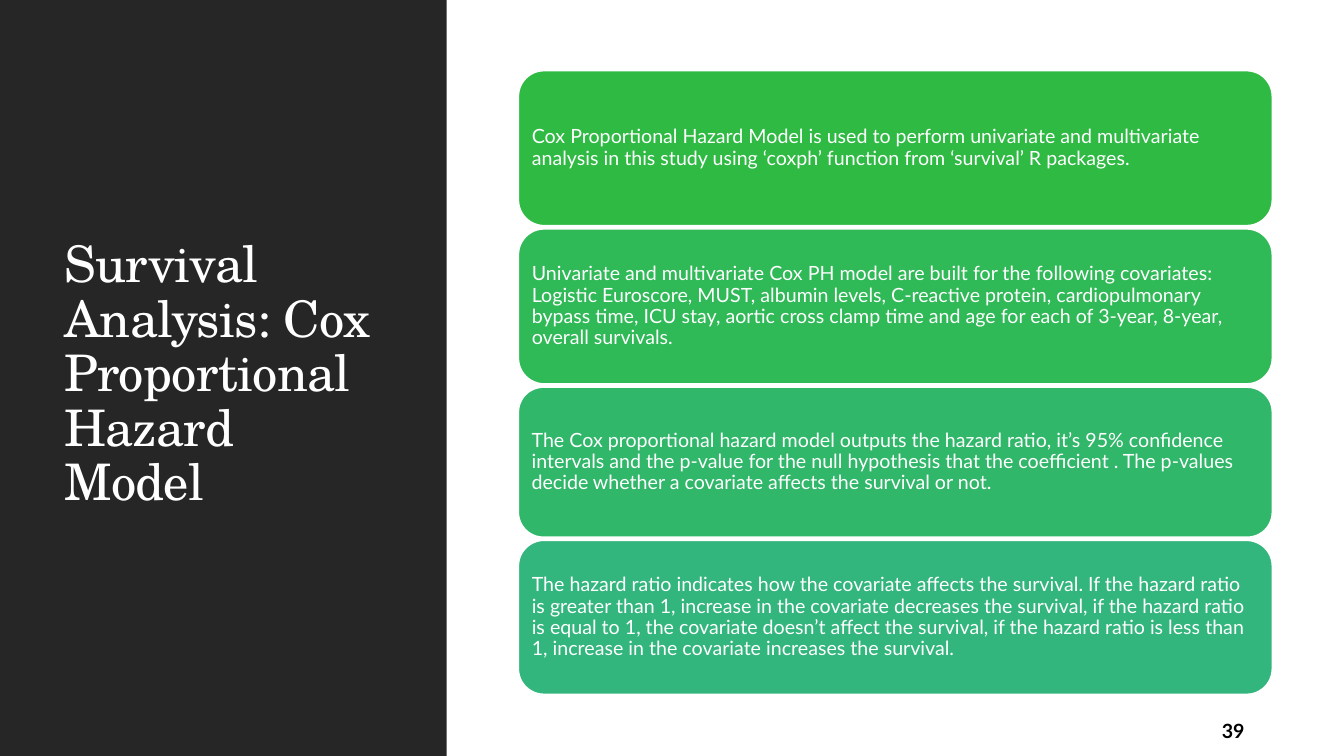
from pptx import Presentation
from pptx.dml.color import RGBColor
from pptx.enum.shapes import MSO_SHAPE
from pptx.enum.text import MSO_ANCHOR, PP_ALIGN
from pptx.util import Pt

EMU_PER_PX = 9144
WHITE = RGBColor(0xFF, 0xFF, 0xFF)
BLACK = RGBColor(0x00, 0x00, 0x00)
CHARCOAL = RGBColor(0x26, 0x26, 0x26)
GREEN = RGBColor(0x2E, 0xBA, 0x43)
EMERALD = RGBColor(0x30, 0xB9, 0x57)
JADE = RGBColor(0x31, 0xB7, 0x6A)
TEAL = RGBColor(0x33, 0xB6, 0x7D)

CARDS = [
    (154, GREEN, "Cox Proportional Hazard Model is used to perform univariate and "
     "multivariate analysis in this study using ‘coxph’ function from ‘survival’ R packages."),
    (154, EMERALD, "Univariate and multivariate Cox PH model are built for the following "
     "covariates: Logistic Euroscore, MUST, albumin levels, C-reactive protein, "
     "cardiopulmonary bypass time, ICU stay, aortic cross clamp time and age for each of "
     "3-year, 8-year, overall survivals."),
    (149, JADE, "The Cox proportional hazard model outputs the hazard ratio, it’s 95% "
     "confidence intervals and the p-value for the null hypothesis that the coefficient . "
     "The p-values decide whether a covariate affects the survival or not."),
    (153, TEAL, "The hazard ratio indicates how the covariate affects the survival. If the "
     "hazard ratio is greater than 1, increase in the covariate decreases the survival, if "
     "the hazard ratio is equal to 1, the covariate doesn’t affect the survival, if the "
     "hazard ratio is less than 1, increase in the covariate increases the survival."),
]
CARD_LEFT, CARD_TOP, CARD_WIDTH, CARD_GAP = 514, 70, 748, 3


def px(n):
    return n * EMU_PER_PX


class SlideBuilder:
    """Draws styled elements on the current slide, with lengths in px."""

    heading_font = "TeX Gyre Schola"
    body_font = "Lato"
    body_size = 14

    def __init__(self, prs):
        self.s = prs.slides.add_slide(prs.slide_layouts[6])

    def shape(self, kind, box, fill, line=None):
        sp = self.s.shapes.add_shape(kind, *map(px, box))
        sp.shadow.inherit = False
        sp.fill.solid()
        sp.fill.fore_color.rgb = fill
        if line is None:
            sp.line.fill.background()
        else:
            sp.line.color.rgb = line
            sp.line.width = Pt(1.25)
        return sp

    def add_text(self, sp, text, font, size, color, bold=False, spacing=0.9):
        tf = sp.text_frame
        tf.word_wrap = True
        tf.vertical_anchor = MSO_ANCHOR.MIDDLE
        p = tf.paragraphs[0]
        p.alignment = PP_ALIGN.LEFT
        p.line_spacing = spacing
        r = p.add_run()
        r.text = text
        r.font.name = font
        r.font.size = Pt(size)
        r.font.bold = bold
        r.font.color.rgb = color
        return r

    def panel(self, box, fill):
        self.shape(MSO_SHAPE.RECTANGLE, box, fill)

    def title(self, box, text):
        sp = self.s.shapes.add_textbox(*map(px, box))
        r = self.add_text(sp, text, self.heading_font, 36, WHITE)
        r.font._element.set("spc", "-50")

    def card(self, box, fill, text):
        sp = self.shape(MSO_SHAPE.ROUNDED_RECTANGLE, box, fill, WHITE)
        tf = sp.text_frame
        tf.margin_left = tf.margin_right = tf.margin_top = tf.margin_bottom = px(6)
        self.add_text(sp, text, self.body_font, self.body_size, WHITE)

    def page_number(self, box, text):
        sp = self.s.shapes.add_textbox(*map(px, box))
        self.add_text(sp, text, self.body_font, self.body_size, BLACK, bold=True, spacing=1.0)


def main():
    prs = Presentation()
    prs.slide_width, prs.slide_height = px(1333), px(750)
    slide = SlideBuilder(prs)
    slide.panel((0, 0, 443, 750), CHARCOAL)
    slide.title((54, 57, 337, 631), "Survival Analysis: Cox Proportional Hazard Model")
    top = CARD_TOP
    for height, fill, text in CARDS:
        slide.card((CARD_LEFT, top, CARD_WIDTH, height), fill, text)
        top += height + CARD_GAP
    slide.page_number((1202, 705, 85, 40), "39")
    prs.save("out.pptx")


if __name__ == "__main__":
    main()
